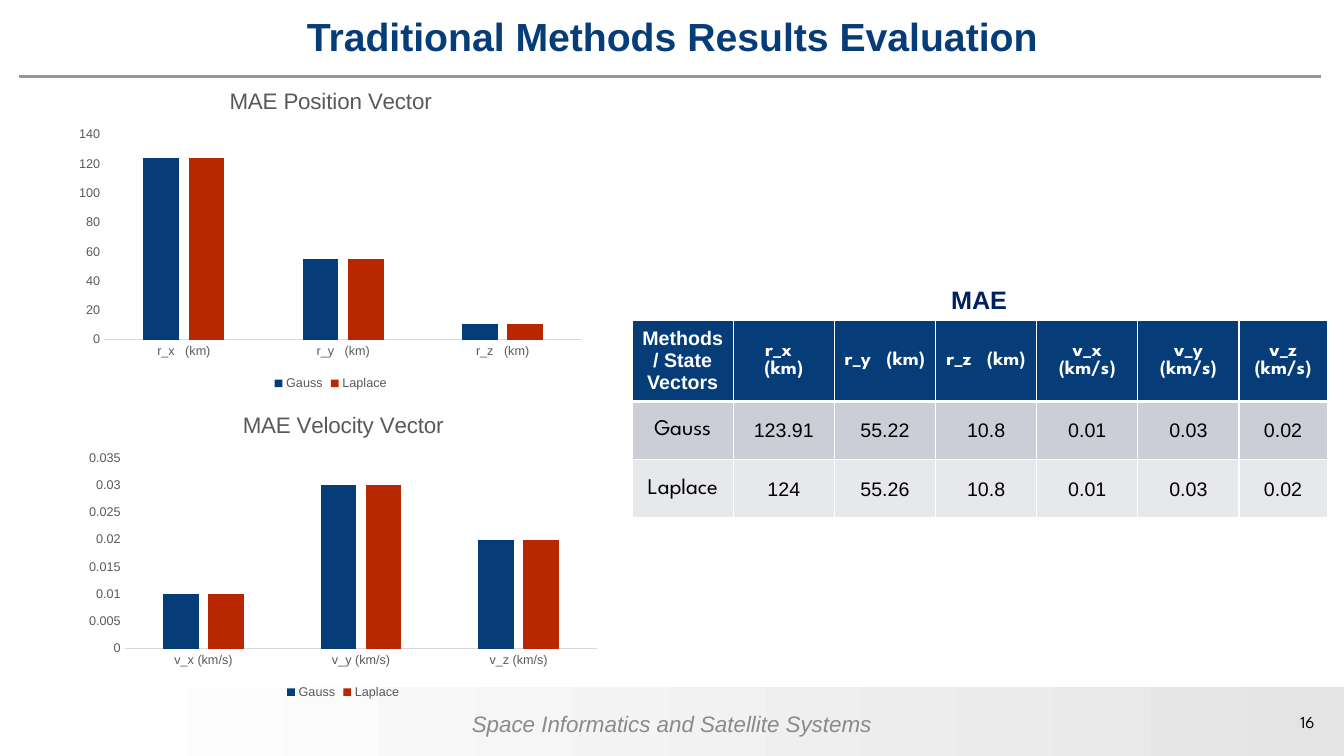
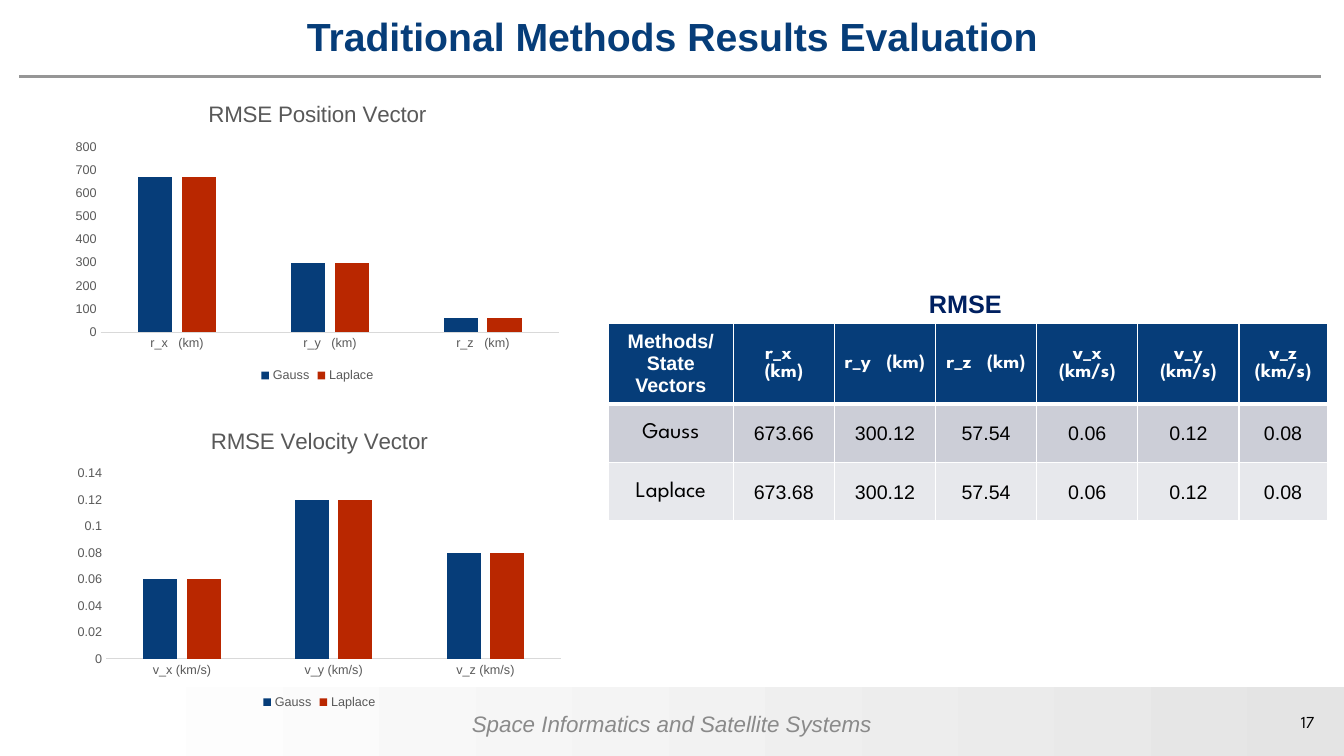
import pptx
import pptx.chart.data
import pptx.dml.color
import pptx.enum.chart
import pptx.enum.shapes
import pptx.enum.text
import pptx.oxml
import pptx.oxml.ns
import pptx.util
from dataclasses import dataclass

TITLE = "Traditional Methods Results Evaluation"
FOOTER = "Space Informatics and Satellite Systems"
CORNER = "Methods/ State Vectors"
PLACE = ["r_x   (km)", "r_y   (km)", "r_z   (km)"]
SPEED = ["v_x (km/s)", "v_y (km/s)", "v_z (km/s)"]
NAMES = ["Gauss", "Laplace"]

PAGES = [
    dict(
        number="16", label="MAE", label_box=(23.72, 7.04, 1.93, 1.02),
        top=8.08, first=2.55,
        rows=[["123.91", "55.22", "10.8", "0.01", "0.03", "0.02"],
              ["124", "55.26", "10.8", "0.01", "0.03", "0.02"]],
        charts=[
            dict(title="MAE Position Vector", cats=PLACE, vals=[124, 55, 11],
                 peak=140, step=20, box=(1.73, 1.8, 13.21, 8.15)),
            dict(title="MAE Velocity Vector", cats=SPEED, vals=[0.01, 0.03, 0.02],
                 peak=0.035, step=0.005, box=(1.98, 9.96, 13.34, 7.77)),
        ],
    ),
    dict(
        number="17", label="RMSE", label_box=(23.16, 7.14, 2.36, 1.02),
        top=8.15, first=3.15,
        rows=[["673.66", "300.12", "57.54", "0.06", "0.12", "0.08"],
              ["673.68", "300.12", "57.54", "0.06", "0.12", "0.08"]],
        charts=[
            dict(title="RMSE Position Vector", cats=PLACE, vals=[670, 300, 60],
                 peak=800, step=100, box=(1.65, 2.13, 12.7, 7.62)),
            dict(title="RMSE Velocity Vector", cats=SPEED, vals=[0.06, 0.12, 0.08],
                 peak=0.14, step=0.02, box=(1.7, 10.36, 12.7, 7.62)),
        ],
    ),
]

RIGHT = 33.45
COL, LAST = 2.55, 2.22
HEIGHTS = [2.03, 1.47, 1.47]

Cm, Pt = pptx.util.Cm, pptx.util.Pt
Align = pptx.enum.text.PP_ALIGN
Anchor = pptx.enum.text.MSO_ANCHOR


@dataclass(frozen=True)
class Theme:
    navy: str = "063D79"
    red: str = "B92700"
    deep: str = "002060"
    black: str = "000000"
    white: str = "FFFFFF"
    rule: str = "969696"
    foot: str = "8A8A8A"
    text: str = "595959"
    axis: str = "D9D9D9"
    fade: str = "E4E4E4"
    bands: tuple = ("CCCED7", "E7E8EC")
    sans: str = "Arial"
    round: str = "League Spartan"
    head: int = 28
    label: int = 18
    mid: int = 16
    cell: int = 14
    small: int = 12
    tick: int = 9


T = Theme()


def tint(code):
    return pptx.dml.color.RGBColor.from_string(code)


def style(font, size, color, face=T.sans, bold=False, italic=False):
    font.size, font.name = Pt(size), face
    font.bold, font.italic = bold, italic
    font.color.rgb = tint(color)


def write(frame, text, align=Align.CENTER, **look):
    para = frame.paragraphs[0]
    para.alignment = align
    run = para.add_run()
    run.text = text
    style(run.font, **look)


def add_text(slide, box, text, wrap=True, anchor=Anchor.TOP, **look):
    frame = slide.shapes.add_textbox(*map(Cm, box)).text_frame
    frame.word_wrap = wrap
    frame.vertical_anchor = anchor
    write(frame, text, **look)


def add_frame(slide, number):
    band = slide.shapes.add_shape(
        pptx.enum.shapes.MSO_SHAPE.RECTANGLE, Cm(2.26), Cm(17.32), Cm(31.61), Cm(1.73))
    band.shadow.inherit = False
    band.line.fill.background()
    band.fill.gradient()
    band.fill.gradient_angle = 0
    for stop, color in zip(band.fill.gradient_stops, (T.white, T.fade)):
        stop.color.rgb = tint(color)
    rule = slide.shapes.add_connector(
        pptx.enum.shapes.MSO_CONNECTOR.STRAIGHT, Cm(0.48), Cm(1.92), Cm(33.3), Cm(1.92))
    rule.line.color.rgb = tint(T.rule)
    rule.line.width = Pt(2.25)
    rule.element.spPr.append(pptx.oxml.parse_xml(
        f"<a:effectLst {pptx.oxml.ns.nsdecls('a')}/>"))
    add_text(slide, (32.31, 17.8, 1.07, 0.76), number, wrap=False,
             align=Align.RIGHT, size=T.small, color=T.black, face=T.round)
    add_text(slide, (11.33, 17.78, 11.2, 0.94), FOOTER,
             size=T.mid, color=T.foot, italic=True)
    add_text(slide, (2.13, 0, 29.62, 1.8), TITLE, anchor=Anchor.MIDDLE,
             size=T.head, color=T.navy, bold=True)


def edge(cell, top, base):
    props = cell._tc.get_or_add_tcPr()
    for spot, (side, width) in enumerate([("L", 1), ("R", 1), ("T", top), ("B", base)]):
        props.insert(spot, pptx.oxml.parse_xml(
            f'<a:ln{side} {pptx.oxml.ns.nsdecls("a")} w="{Pt(width)}"><a:solidFill>'
            f'<a:srgbClr val="{T.white}"/></a:solidFill></a:ln{side}>'))


def cell_look(row, col):
    if row == 0:
        return dict(size=T.cell, color=T.white, bold=True,
                    face=T.round if col else T.sans)
    if col == 0:
        return dict(size=T.mid, color=T.black, face=T.round)
    return dict(size=T.cell, color=T.black)


def add_table(slide, top, first, rows):
    grid = [[CORNER, *PLACE, *SPEED]]
    grid += [[name, *vals] for name, vals in zip(NAMES, rows)]
    widths = [first] + [COL] * 5 + [LAST]
    wide = sum(widths)
    table = slide.shapes.add_table(
        len(grid), len(widths), Cm(RIGHT - wide), Cm(top), Cm(wide), Cm(sum(HEIGHTS))).table
    table.first_row = table.horz_banding = False
    for col, width in zip(table.columns, widths):
        col.width = Cm(width)
    for r, line in enumerate(grid):
        table.rows[r].height = Cm(HEIGHTS[r])
        for c, text in enumerate(line):
            cell = table.cell(r, c)
            cell.fill.solid()
            cell.fill.fore_color.rgb = tint((T.navy, *T.bands)[r])
            cell.vertical_anchor = Anchor.MIDDLE
            if r and c:
                cell.margin_left = cell.margin_right = cell.margin_top = Cm(0.03)
                cell.margin_bottom = 0
            edge(cell, 3 if r == 1 else 1, 3 if r == 0 else 1)
            write(cell.text_frame, text, **cell_look(r, c))


def add_chart(slide, title, cats, vals, peak, step, box):
    kinds = pptx.enum.chart
    data = pptx.chart.data.CategoryChartData()
    data.categories = cats
    for name in NAMES:
        data.add_series(name, vals)
    chart = slide.shapes.add_chart(
        kinds.XL_CHART_TYPE.COLUMN_CLUSTERED, *map(Cm, box), data).chart
    style(chart.font, T.tick, T.text)
    chart.has_title = True
    write(chart.chart_title.text_frame, title, size=T.mid, color=T.text)
    chart.has_legend = True
    chart.legend.position = kinds.XL_LEGEND_POSITION.BOTTOM
    chart.legend.include_in_layout = False
    style(chart.legend.font, T.tick, T.text)
    plot = chart.plots[0]
    plot.vary_by_categories = False
    plot.gap_width, plot.overlap = 219, -27
    for series, color in zip(plot.series, (T.navy, T.red)):
        series.format.fill.solid()
        series.format.fill.fore_color.rgb = tint(color)
    for axis in (chart.category_axis, chart.value_axis):
        axis.major_tick_mark = axis.minor_tick_mark = kinds.XL_TICK_MARK.NONE
        axis.has_major_gridlines = False
        style(axis.tick_labels.font, T.tick, T.text)
    chart.category_axis.format.line.color.rgb = tint(T.axis)
    chart.category_axis.format.line.width = Pt(0.75)
    scale = chart.value_axis
    scale.format.line.fill.background()
    scale.minimum_scale, scale.maximum_scale, scale.major_unit = 0, peak, step


def main():
    deck = pptx.Presentation()
    deck.slide_width, deck.slide_height = Cm(33.87), Cm(19.05)
    for page in PAGES:
        slide = deck.slides.add_slide(deck.slide_layouts[6])
        add_frame(slide, page["number"])
        add_text(slide, page["label_box"], page["label"], wrap=False,
                 align=Align.LEFT, size=T.label, color=T.deep, bold=True)
        add_table(slide, page["top"], page["first"], page["rows"])
        for chart in page["charts"]:
            add_chart(slide, **chart)
    deck.save("out.pptx")


if __name__ == "__main__":
    main()
